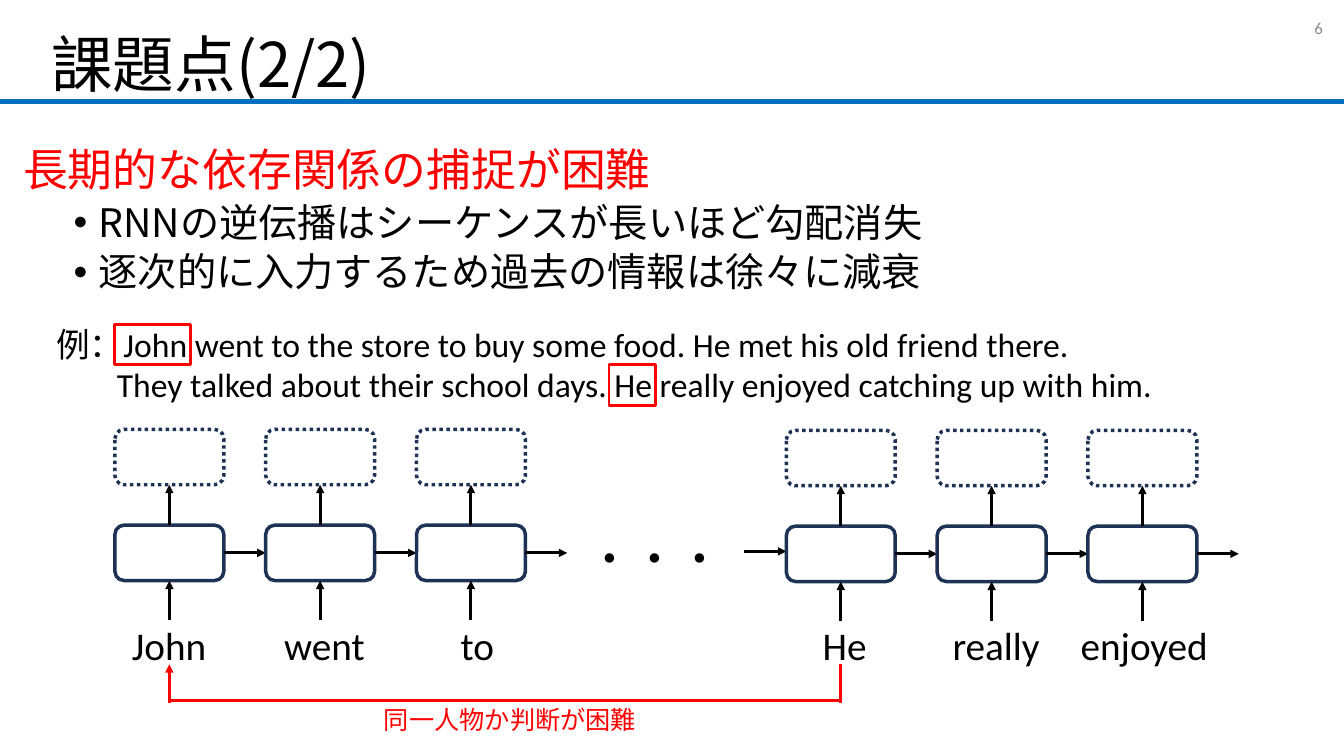
from lxml import etree
from pptx import Presentation
from pptx.dml.color import RGBColor
from pptx.enum.dml import MSO_LINE
from pptx.enum.shapes import MSO_CONNECTOR, MSO_SHAPE
from pptx.enum.text import MSO_ANCHOR, PP_ALIGN
from pptx.oxml.ns import qn
from pptx.util import Inches, Pt

STRAIGHT = MSO_CONNECTOR.STRAIGHT
RECTANGLE = MSO_SHAPE.RECTANGLE
ROUNDED = MSO_SHAPE.ROUNDED_RECTANGLE
DOTTED = MSO_LINE.ROUND_DOT
TOP, MIDDLE = MSO_ANCHOR.TOP, MSO_ANCHOR.MIDDLE
LEFT, RIGHT = PP_ALIGN.LEFT, PP_ALIGN.RIGHT

WIDTH, HEIGHT = Inches(13.33), Inches(7.5)
LATIN, JAPANESE = "Calibri", "Noto Sans CJK JP"
COLORS = {"black": "000000", "red": "FF0000", "blue": "0070C0",
          "navy": "1E3256", "gray": "8C8C8C"}

# Network grid, in percent of the slide's width or height
CELL_WIDTH, CELL_HEIGHT = 8.1, 7.33
COLUMN_STEP = 11.22
OUTPUT_ROW, HIDDEN_ROW, INPUT_ROW = 56.8, 69.47, 82
FIRST_HALF, SECOND_HALF = 8.55, 58.51
WORD_TOP, WORD_HEIGHT = 81.47, 7.6

# Each word with the left and width of its label
FIRST_WORDS = [("John", 9.08, 7.28), ("went", 20.41, 8.93), ("to", 33.53, 6.08)]
SECOND_WORDS = [("He", 60.47, 6.08), ("really", 70.14, 9.98),
                ("enjoyed", 79.67, 11.1)]


def across(percent):
    return round(WIDTH * percent / 100)


def down(percent):
    return round(HEIGHT * percent / 100)


def place(left, top, width, height):
    return across(left), down(top), across(width), down(height)


def color(name):
    return RGBColor.from_string(COLORS[name])


def add_paragraph(frame, text, size=24, tint="black", font=LATIN, align=LEFT,
                  indent=0, bullet=False, before=0, spacing=1.0):
    """Fill the frame's empty first paragraph, or append another one."""
    paragraph = frame.paragraphs[0]
    if paragraph.runs:
        paragraph = frame.add_paragraph()
    properties = paragraph._p.get_or_add_pPr()
    properties.set("marL", str(Inches(indent)))
    if bullet:
        properties.set("indent", str(Inches(-0.25)))
        etree.SubElement(properties, qn("a:buFont"), typeface="Arial")
        etree.SubElement(properties, qn("a:buChar"), char="•")
    paragraph.alignment = align
    paragraph.line_spacing = spacing
    paragraph.space_before = Pt(before)
    run = paragraph.add_run()
    run.text = text
    run.font.size = Pt(size)
    run.font.name = font
    run.font.color.rgb = color(tint)
    etree.SubElement(run.font._element, qn("a:ea"), typeface=JAPANESE)


def add_text(slide, box, *texts, anchor=TOP, **text_format):
    """Add a text box with one paragraph for each text; return its frame."""
    frame = slide.shapes.add_textbox(*place(*box)).text_frame
    frame.word_wrap = True
    frame.vertical_anchor = anchor
    for text in texts:
        add_paragraph(frame, text, **text_format)
    return frame


def add_outline(slide, kind, box, tint, weight, dash=None):
    shape = slide.shapes.add_shape(kind, *place(*box))
    shape.shadow.inherit = False
    shape.fill.background()
    shape.line.color.rgb = color(tint)
    shape.line.width = Pt(weight)
    if dash:
        shape.line.dash_style = dash


def add_line(slide, start, end, tint="black", weight=2, arrow=True):
    connector = slide.shapes.add_connector(
        STRAIGHT, across(start[0]), down(start[1]), across(end[0]), down(end[1]))
    connector.line.color.rgb = color(tint)
    connector.line.width = Pt(weight)
    if arrow:
        etree.SubElement(connector.line._get_or_add_ln(), qn("a:tailEnd"),
                         type="triangle")
    etree.SubElement(connector._element.spPr, qn("a:effectLst"))


def add_network(slide, first_left, words, shift=0):
    """Draw one recurrent step for each word, from input up to output."""
    output, hidden, source = (row + shift for row in
                              (OUTPUT_ROW, HIDDEN_ROW, INPUT_ROW))
    for index, (word, word_left, word_width) in enumerate(words):
        left = first_left + index * COLUMN_STEP
        center, right = left + CELL_WIDTH / 2, left + CELL_WIDTH
        middle = hidden + CELL_HEIGHT / 2
        for row, dash in ((output, DOTTED), (hidden, None)):
            add_outline(slide, ROUNDED, (left, row, CELL_WIDTH, CELL_HEIGHT),
                        "navy", 2.5, dash)
        for start, cell in ((hidden, output), (source, hidden)):
            add_line(slide, (center, start), (center, cell + CELL_HEIGHT))
        add_line(slide, (right, middle), (left + COLUMN_STEP, middle))
        add_text(slide, (word_left, WORD_TOP, word_width, WORD_HEIGHT), word,
                 size=28)


def add_reference(slide):
    """Draw the red bracket that leads from He back to John."""
    john, he = (left + CELL_WIDTH / 2 for left in (FIRST_HALF, SECOND_HALF))
    add_line(slide, (john, 92.93), (john, 87.87), "red")
    add_line(slide, (he, 92.93), (he, 87.87), "red", arrow=False)
    add_line(slide, (john, 92.67), (he, 92.67), "red", arrow=False)
    add_text(slide, (27.83, 92.53, 29.26, 5.33), "同一人物か判断が困難",
             size=18, tint="red")


def add_heading(slide):
    add_line(slide, (0, 13.47), (100, 13.47), "blue", 3.75, arrow=False)
    add_text(slide, (3.08, 0, 94.07, 17.87), "課題点(2/2)", anchor=MIDDLE,
             size=44, font=JAPANESE, spacing=0.9)
    add_text(slide, (76.67, 1.07, 22.5, 5.33), "6", anchor=MIDDLE,
             size=12, tint="gray", align=RIGHT)


def add_points(slide):
    frame = add_text(slide, (0.98, 18.93, 98.2, 22), "長期的な依存関係の捕捉が困難",
                     size=32, tint="red", font=JAPANESE, spacing=0.9)
    for point in ("RNNの逆伝播はシーケンスが長いほど勾配消失",
                  "逐次的に入力するため過去の情報は徐々に減衰"):
        add_paragraph(frame, point, size=28, font=JAPANESE, indent=0.75,
                      bullet=True, before=5, spacing=0.9)


def add_example(slide):
    frame = add_text(
        slide, (3.45, 42.13, 86.57, 12.13),
        "例：John went to the store to buy some food. He met his old friend there.")
    add_paragraph(
        frame, "They talked about their school days. "
        "He really enjoyed catching up with him.", indent=0.6)
    for box in ((8.55, 42.93, 5.63, 5.33), (45.31, 48.27, 3.45, 5.33)):
        add_outline(slide, RECTANGLE, box, "red", 2)


def main():
    presentation = Presentation()
    presentation.slide_width, presentation.slide_height = WIDTH, HEIGHT
    slide = presentation.slides.add_slide(presentation.slide_layouts[6])
    add_heading(slide)
    add_points(slide)
    add_example(slide)
    add_network(slide, FIRST_HALF, FIRST_WORDS)
    add_text(slide, (42.99, 69.6, 12.15, 8.53), "・・・", size=32)
    add_line(slide, (55.36, 72.93), (SECOND_HALF, 72.93))
    add_network(slide, SECOND_HALF, SECOND_WORDS, shift=0.13)
    add_reference(slide)
    presentation.save("out.pptx")


if __name__ == "__main__":
    main()
